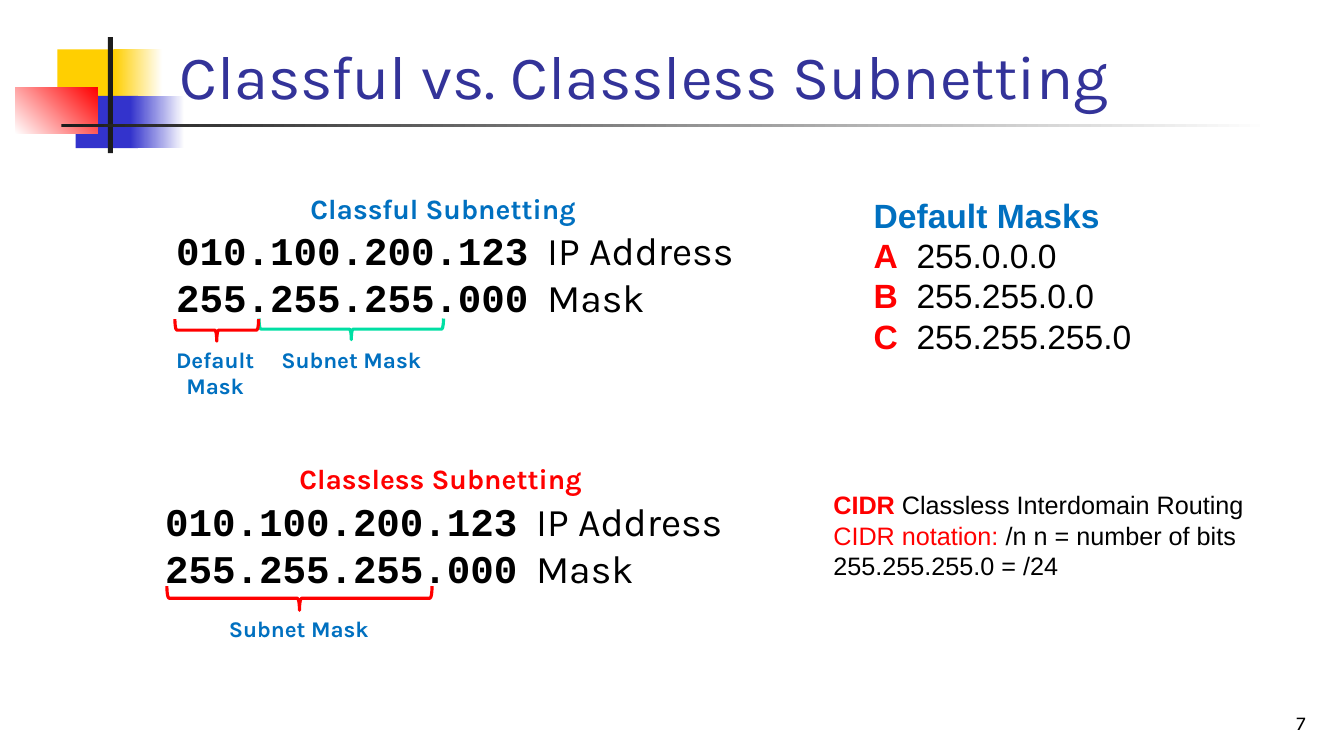
from pptx import Presentation
from pptx.dml.color import RGBColor
from pptx.enum.shapes import MSO_SHAPE
from pptx.enum.text import MSO_ANCHOR, MSO_AUTO_SIZE, PP_ALIGN
from pptx.util import Pt

COLORS = {
    "yellow": "FFCF01", "indigo": "3333CC", "red": "FF0000", "white": "FFFFFF",
    "dark": "1C1C1C", "title": "333399", "blue": "0070C0", "green": "00DFA4",
    "black": "000000",
}
TITLE = "Classful vs. Classless Subnetting"
SLIDE_NUMBER = "7"

DECORATION = [
    ((41, 35.3, 46.1, 37.4), ["yellow"], 0),
    ((81.4, 35.3, 34.6, 37.4), ["yellow", "white"], 0),
    ((54, 68.4, 44.6, 37.4), ["indigo"], 0),
    ((92.9, 68.4, 38.9, 37.4), ["indigo", "white"], 0),
    ((10.8, 62.6, 59, 33.1), ["white", "red"], 45),
    ((77, 26.6, 3.6, 82.8), ["dark"], 0),
    ((43.9, 88.6, 864, 2.2), ["dark", "white"], 0),
]
ADDRESS_ROWS = [("010.100.200.123", "  IP Address"), ("255.255.255.000", "  Mask")]
DIAGRAMS = [
    {
        "heading": "Classful Subnetting", "color": "blue", "origin": (118.8, 158.4),
        "braces": [((66.2, 69.1, 131.8, 15.1), "green"), ((6.1, 69.5, 59.8, 15.8), "red")],
        "labels": [((-2.2, 85, 74.2, 46), ["Default", "Mask"]),
                   ((72.7, 85, 118.8, 26.6), ["Subnet Mask"])],
    },
    {
        "heading": "Classless Subnetting", "color": "red", "origin": (110.9, 351.4),
        "braces": [((8.3, 67.3, 189.4, 17.3), "red")],
        "labels": [((43.2, 84.2, 118.8, 26.6), ["Subnet Mask"])],
    },
]
DEFAULT_MASKS = [("A", "  255.0.0.0"), ("B", "  255.255.0.0"), ("C", "  255.255.255.0")]
CIDR_LINES = [
    [("CIDR", "red", True), (" Classless Interdomain Routing", "black", False)],
    [("CIDR notation:", "red", False), (" /n n = number of bits", "black", False)],
    [("255.255.255.0 = /24", "black", False)],
]


def rgb(name):
    return RGBColor.from_string(COLORS[name])


def points(box):
    return [Pt(v) for v in box]


def shifted(box, origin):
    return box[0] + origin[0], box[1] + origin[1], *box[2:]


def add_run(p, text, size, font, color, bold=False):
    r = p.add_run()
    r.text = text
    r.font.size, r.font.name, r.font.bold = Pt(size), font, bold
    r.font.color.rgb = rgb(color)


def add_text(s, box, align=PP_ALIGN.LEFT):
    tf = s.shapes.add_textbox(*points(box)).text_frame
    tf.word_wrap = True
    tf.paragraphs[0].alignment = align
    return tf


def add_paragraphs(tf, lines, size, font):
    for i, line in enumerate(lines):
        p = tf.add_paragraph() if i else tf.paragraphs[0]
        for text, color, bold in line:
            add_run(p, text, size, font, color, bold)


def add_block(s, box, colors, angle):
    sp = s.shapes.add_shape(MSO_SHAPE.RECTANGLE, *points(box))
    sp.shadow.inherit = False
    sp.line.fill.background()
    if len(colors) == 1:
        sp.fill.solid()
        sp.fill.fore_color.rgb = rgb(colors[0])
        return
    sp.fill.gradient()
    sp.fill.gradient_angle = angle
    for stop, color, position in zip(sp.fill.gradient_stops, colors, (0, 1)):
        stop.color.rgb = rgb(color)
        stop.position = position


def add_brace(s, box, color):
    x, y, w, h = box
    upright = x + (w - h) / 2, y + (h - w) / 2, h, w
    sp = s.shapes.add_shape(MSO_SHAPE.RIGHT_BRACE, *points(upright))
    sp.rotation = 90
    sp.shadow.inherit = False
    sp.fill.background()
    sp.line.color.rgb = rgb(color)
    sp.line.width = Pt(2.25)


def add_diagram(s, diagram):
    origin = diagram["origin"]
    p = add_text(s, shifted((0, 0, 419, 74.9), origin)).paragraphs[0]
    for i, (digits, name) in enumerate(ADDRESS_ROWS):
        if i:
            p.add_line_break()
        add_run(p, digits, 28, "Courier New", "black", True)
        add_run(p, name, 28, "Karla", "black")
    for box, color in diagram["braces"]:
        add_brace(s, shifted(box, origin), color)
    for box, lines in diagram["labels"]:
        p = add_text(s, shifted(box, origin), PP_ALIGN.CENTER).paragraphs[0]
        for i, line in enumerate(lines):
            if i:
                p.add_line_break()
            add_run(p, line, 16, "Karla", "blue", True)
    tf = add_text(s, shifted((95.8, -25.2, 223, 31.7), origin))
    add_run(tf.paragraphs[0], diagram["heading"], 20, "Karla", diagram["color"], True)


prs = Presentation()
prs.slide_width, prs.slide_height = Pt(960), Pt(540)
s = prs.slides.add_slide(prs.slide_layouts[5])

title = s.shapes.title
title.left, title.top, title.width, title.height = points((121, 16.6, 817.9, 67))
tf = title.text_frame
tf.auto_size = MSO_AUTO_SIZE.NONE
tf.vertical_anchor = MSO_ANCHOR.BOTTOM
tf.paragraphs[0].alignment = PP_ALIGN.LEFT
add_run(tf.paragraphs[0], TITLE, 44, "Karla", "title")

for box, colors, angle in DECORATION:
    add_block(s, box, colors, angle)
for diagram in DIAGRAMS:
    add_diagram(s, diagram)

mask_lines = [[("Default Masks", "blue", True)]]
mask_lines += [[(k, "red", True), (mask, "black", False)] for k, mask in DEFAULT_MASKS]
add_paragraphs(add_text(s, (617, 135.4, 216, 123.8)), mask_lines, 24, "Arial")
add_paragraphs(add_text(s, (588.2, 346.3, 324, 72.7)), CIDR_LINES, 18, "Arial")

tf = add_text(s, (739.4, 504, 200.2, 23.8), PP_ALIGN.RIGHT)
tf.vertical_anchor = MSO_ANCHOR.BOTTOM
add_run(tf.paragraphs[0], SLIDE_NUMBER, 14, "Karla", "black")

prs.save("out.pptx")
